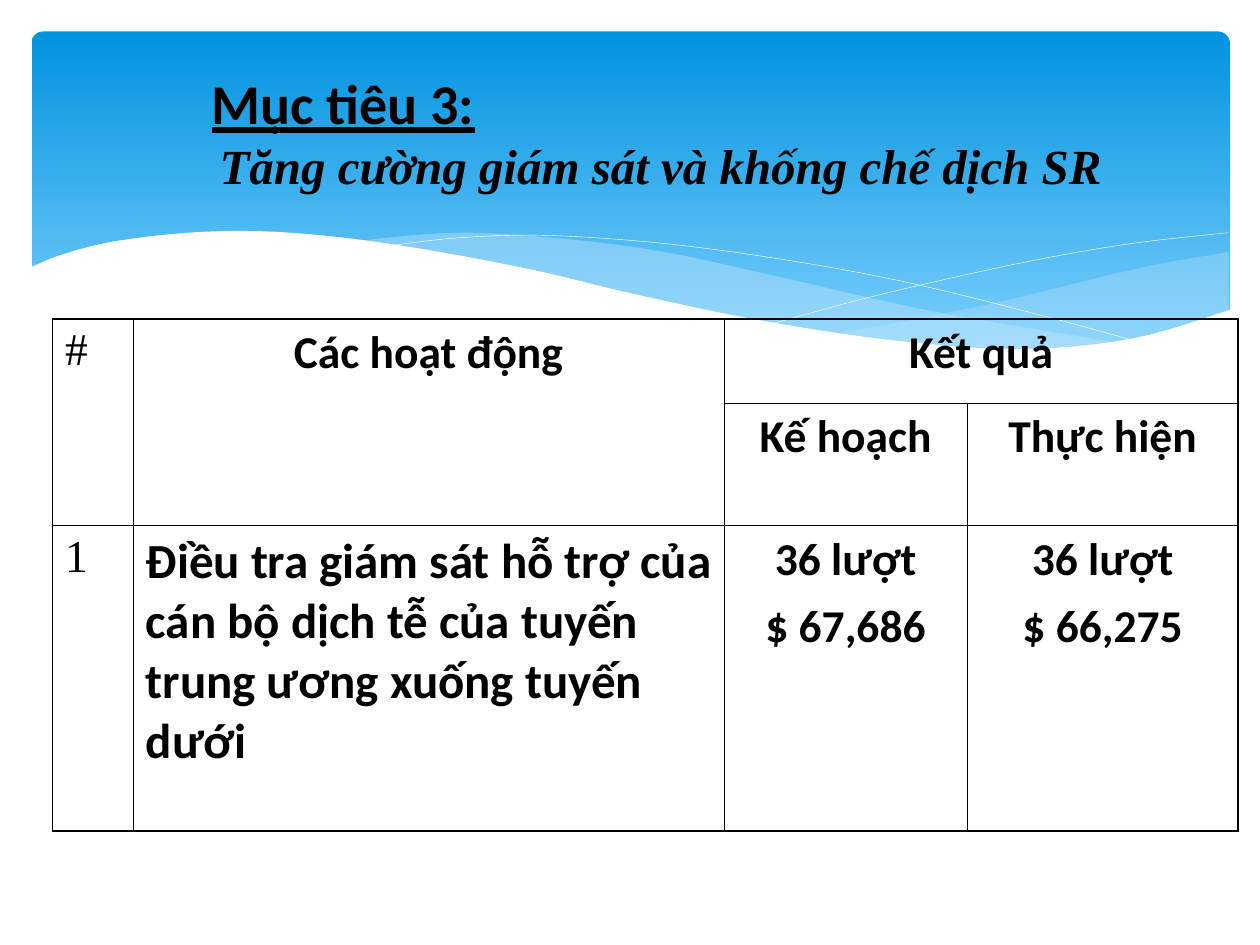
from pptx import Presentation
from pptx.dml.color import RGBColor
from pptx.enum.shapes import MSO_SHAPE
from pptx.enum.text import MSO_ANCHOR, PP_ALIGN
from pptx.oxml import parse_xml
from pptx.oxml.ns import nsdecls
from pptx.util import Pt
from lxml.etree import SubElement

COLORS = {"sky_top": "0293E0", "sky_bottom": "83D3FE", "mist": "C6E7FC",
          "white": "FFFFFF", "black": "000000"}
SANS, SERIF = "Calibri", "Times New Roman"

# Content
TITLE = [("Mục tiêu 3:", 32, SANS, True, False),
         ("Tăng cường giám sát và khống chế dịch SR", 28, SERIF, False, True)]
CENTER, LEFT = PP_ALIGN.CENTER, PP_ALIGN.LEFT
# (row, column): lines, size, font, bold, alignment
CELLS = {
    (0, 0): (["#"], 26, SERIF, False, LEFT),
    (0, 1): (["Các hoạt động"], 26, SANS, True, CENTER),
    (0, 2): (["Kết quả"], 26, SANS, True, CENTER),
    (1, 2): (["Kế hoạch"], 26, SANS, True, CENTER),
    (1, 3): (["Thực hiện"], 26, SANS, True, CENTER),
    (2, 0): (["1"], 26, SERIF, False, LEFT),
    (2, 1): (["Điều tra giám sát hỗ trợ của cán bộ dịch tễ của tuyến "
              "trung ương xuống tuyến dưới"], 28, SANS, True, LEFT),
    (2, 2): (["36 lượt", "$ 67,686"], 26, SANS, True, CENTER),
    (2, 3): (["36 lượt", "$ 66,275"], 26, SANS, True, CENTER),
}
MERGES = [((0, 0), (1, 0)), ((0, 1), (1, 1)), ((0, 2), (0, 3))]
COLUMN_WIDTHS = [46.1, 337.7, 139, 154.8]
ROW_HEIGHTS = [48, 70, 174.5]
OUTER_LINE, INNER_LINE = 1.08, 0.45

# Waves: each outline is a chain of smooth curves through a few points
RIGHT_WAVE = [[(702, 144), (652, 153), (580, 170.5), (525, 182), (476, 191)],
              [(476, 191), (527, 197), (586, 200), (650, 194), (702, 178)]]
MIDDLE_WAVE = [[(206, 137.5), (260, 133), (317.5, 136), (379.5, 144), (453, 160),
                (533.5, 178), (643, 196.5)],
               [(643, 196.5), (589, 200.5), (530, 198), (468, 190), (381.5, 173),
                (323, 160), (260.5, 146), (206, 137.5)]]
FALLING_LINE = [[(222.5, 140.5), (261, 136), (312, 134.5), (383, 139.5),
                 (458, 150), (523.5, 162.5), (598, 181), (653, 196)]]
RISING_LINE = [[(441.5, 185), (500.5, 169), (580, 151), (644.5, 139.5), (702, 133)]]
WHITE_WAVE = [[(17, 153), (37, 145), (68, 137.5), (116, 132.5), (166, 133),
               (227, 140), (301, 153.5), (362, 168), (434, 183), (510, 194.5),
               (582, 199.5), (647, 193.5), (703, 177)],
              [(703, 237), (17, 237)]]


def color(name):
    return RGBColor.from_string(COLORS[name])


def smooth(knots, steps=6):
    """Catmull-Rom curve through the knots."""
    if len(knots) < 3:
        return knots
    padded = [knots[0], *knots, knots[-1]]
    points = [knots[0]]
    for a, b, c, d in zip(padded, padded[1:], padded[2:], padded[3:]):
        for step in range(1, steps + 1):
            t = step / steps
            points.append(tuple(
                0.5 * (2 * q + (r - p) * t + (2 * p - 5 * q + 4 * r - s) * t ** 2
                       + (3 * q - p - 3 * r + s) * t ** 3)
                for p, q, r, s in zip(a, b, c, d)))
    return points


def add_wave(slide, curves, fill=None, opacity=100):
    points = [(Pt(x), Pt(y)) for curve in curves for x, y in smooth(curve)]
    builder = slide.shapes.build_freeform(*points[0], scale=1.0)
    builder.add_line_segments(points[1:], close=fill is not None)
    shape = builder.convert_to_shape()
    shape.shadow.inherit = False
    if fill is None:
        shape.fill.background()
        shape.line.color.rgb = color("white")
        shape.line.width = Pt(0.25)
        return
    shape.line.fill.background()
    shape.fill.solid()
    shape.fill.fore_color.rgb = color(fill)
    if opacity < 100:
        fill_color = shape.fill._xPr.find(".//{*}srgbClr")
        SubElement(fill_color, fill_color.tag.replace("srgbClr", "alpha"),
                   val=str(opacity * 1000))


def set_font(font, size, name, bold):
    font.size, font.name, font.bold = Pt(size), name, bold
    font.color.rgb = color("black")


def set_borders(cell, widths):
    properties = cell._tc.get_or_add_tcPr()
    for index, (side, width) in enumerate(zip("LRTB", widths)):
        properties.insert(index, parse_xml(
            f'<a:ln{side} {nsdecls("a")} w="{Pt(width)}"><a:solidFill>'
            f'<a:srgbClr val="{COLORS["black"]}"/></a:solidFill></a:ln{side}>'))


presentation = Presentation()
presentation.slide_width, presentation.slide_height = Pt(720), Pt(540)
slide = presentation.slides.add_slide(presentation.slide_layouts[6])

# Sky banner
banner = slide.shapes.add_shape(MSO_SHAPE.ROUNDED_RECTANGLE,
                                Pt(18), Pt(18), Pt(684.7), Pt(194.4))
banner.adjustments[0] = 0.034
banner.shadow.inherit = False
banner.line.fill.background()
banner.fill.gradient()
banner.fill.gradient_angle = 270
for stop, name in zip(banner.fill.gradient_stops, ("sky_top", "sky_bottom")):
    stop.color.rgb = color(name)

# Waves
add_wave(slide, RIGHT_WAVE, "mist", 29)
add_wave(slide, MIDDLE_WAVE, "mist", 40)
add_wave(slide, FALLING_LINE)
add_wave(slide, RISING_LINE)
add_wave(slide, WHITE_WAVE, "white")

# Results table
last_row, last_column = len(ROW_HEIGHTS), len(COLUMN_WIDTHS)
table = slide.shapes.add_table(last_row, last_column, Pt(30), Pt(182.3),
                               Pt(sum(COLUMN_WIDTHS)), Pt(sum(ROW_HEIGHTS))).table
table.first_row = table.horz_banding = False
for column, width in zip(table.columns, COLUMN_WIDTHS):
    column.width = Pt(width)
for row, height in zip(table.rows, ROW_HEIGHTS):
    row.height = Pt(height)
for first, last in MERGES:
    table.cell(*first).merge(table.cell(*last))

for r in range(last_row):
    for c in range(last_column):
        cell = table.cell(r, c)
        cell.fill.background()
        at_edge = (c == 0, c + cell.span_width == last_column,
                   r == 0, r + cell.span_height == last_row)
        set_borders(cell, [OUTER_LINE if edge else INNER_LINE for edge in at_edge])
        if (r, c) not in CELLS:
            continue
        lines, size, name, bold, alignment = CELLS[r, c]
        cell.text = "\n".join(lines)
        for index, paragraph in enumerate(cell.text_frame.paragraphs):
            paragraph.alignment = alignment
            if index:
                paragraph.space_before = Pt(6.5)
            set_font(paragraph.font, size, name, bold)

# Title
title = slide.shapes.add_textbox(Pt(72), Pt(54), Pt(606), Pt(42))
frame = title.text_frame
frame.word_wrap = True
frame.vertical_anchor = MSO_ANCHOR.MIDDLE
frame.margin_left = Pt(49)
paragraph = frame.paragraphs[0]
indent = paragraph._p.get_or_add_pPr()
indent.set("marL", str(Pt(4.5)))
indent.set("indent", str(-Pt(4.5)))
for index, (text, size, name, underline, italic) in enumerate(TITLE):
    if index:
        paragraph.add_line_break()
    run = paragraph.add_run()
    run.text = text
    set_font(run.font, size, name, True)
    run.font.underline, run.font.italic = underline, italic

presentation.save("out.pptx")
